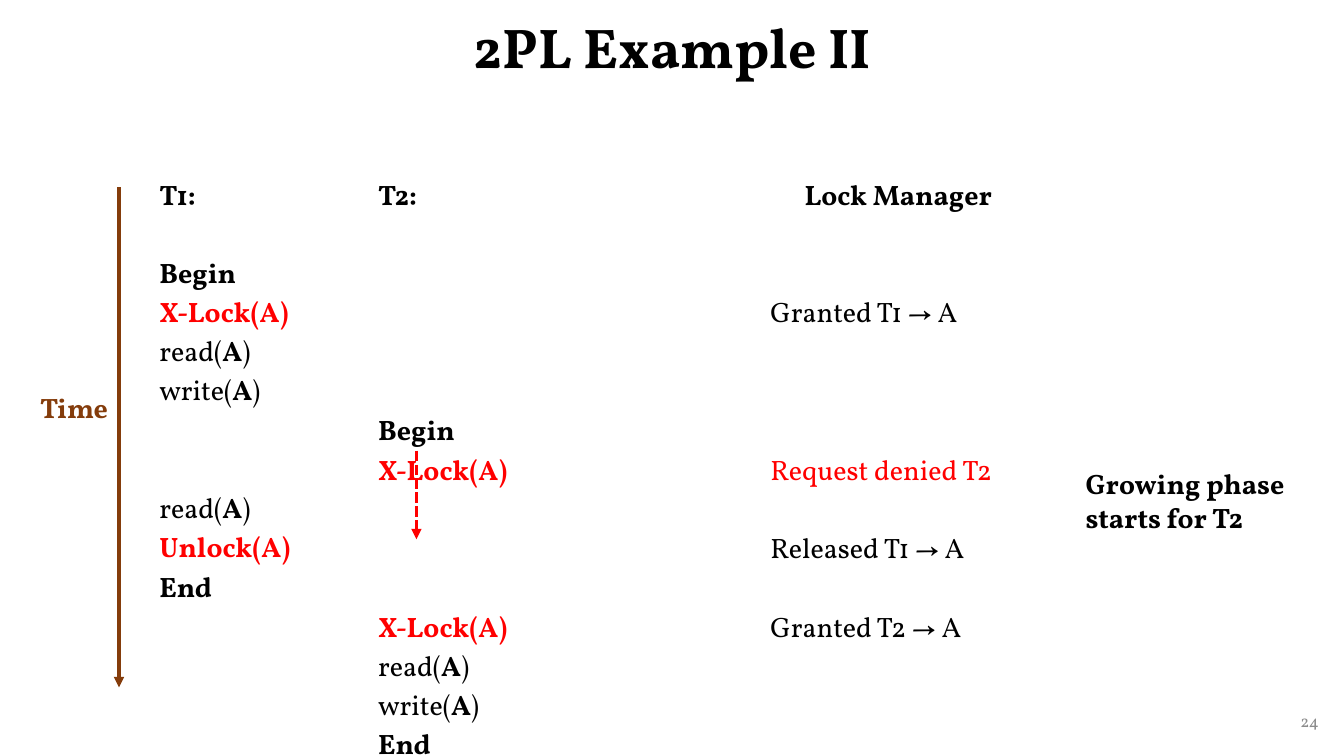
from dataclasses import dataclass

from lxml import etree
from pptx import Presentation
from pptx import util as u
from pptx.dml.color import RGBColor
from pptx.enum import dml, shapes, text
from pptx.oxml.ns import qn


@dataclass(frozen=True)
class Theme:
    font: str = "Vollkorn"
    ink: str = "000000"
    lock: str = "FF0000"
    time: str = "843C0B"
    muted: str = "8C8C8C"
    title: int = 40
    body: int = 20
    number: int = 12
    step: float = 28.1  # height of one schedule step, in points
    line: float = 2.5


theme = Theme()


def write(paragraph, words, color=theme.ink, bold=True, size=theme.body):
    """Write words in one style; in a plain call such as read(A), A is bold."""
    font = paragraph.font
    font.name, font.size, font.bold = theme.font, u.Pt(size), bold
    font.color.rgb = RGBColor.from_string(color)
    if words.endswith("(A)") and not bold:
        for part in (words[:-2], "A", ")"):
            run = paragraph.add_run()
            run.text = part
            if part == "A":
                run.font.bold = True
    else:
        paragraph.add_run().text = words


def arrow(x, top, bottom, color, dash=None):
    """Draw a downward arrow."""
    connector = slide.shapes.add_connector(
        shapes.MSO_CONNECTOR.STRAIGHT, u.Inches(x), u.Inches(top), u.Inches(x), u.Inches(bottom))
    connector.line.color.rgb = RGBColor.from_string(color)
    connector.line.width = u.Pt(theme.line)
    if dash:
        connector.line.dash_style = dash
    properties = connector._element.spPr
    etree.SubElement(properties.find(qn("a:ln")), qn("a:tailEnd"), type="triangle")
    etree.SubElement(properties, qn("a:effectLst"))


deck = Presentation()
deck.slide_width, deck.slide_height = u.Inches(13.33), u.Inches(7.5)
slide = deck.slides.add_slide(deck.slide_layouts[5])

# Title
title = slide.shapes.title
title.left, title.top, title.width, title.height = map(u.Inches, (0.92, 0, 11.5, 0.99))
title.text_frame.vertical_anchor = text.MSO_ANCHOR.MIDDLE
heading = title.text_frame.paragraphs[0]
heading.alignment = text.PP_ALIGN.CENTER
heading.line_spacing = 0.9
write(heading, "2PL Example II", size=theme.title)

# Schedule: each entry is (time step, words, colour, bold)
ink, lock = theme.ink, theme.lock
t1 = [
    (0, "T1:", ink, True), (2, "Begin", ink, True), (3, "X-Lock(A)", lock, True),
    (4, "read(A)", ink, False), (5, "write(A)", ink, False), (8, "read(A)", ink, False),
    (9, "Unlock(A)", lock, True), (10, "End", ink, True),
]
t2 = [
    (0, "T2:", ink, True), (6, "Begin", ink, True), (7, "X-Lock(A)", lock, True),
    (11, "X-Lock(A)", lock, True), (12, "read(A)", ink, False),
    (13, "write(A)", ink, False), (14, "End", ink, True),
]
lock_manager = [
    (0, "Lock Manager", ink, True), (3, "Granted T1 → A", ink, False),
    (7, "Request denied T2", lock, False), (9, "Released T1 → A", ink, False),
    (11, "Granted T2 → A", ink, False),
]

# Transactions and lock manager tables
for left, widths, columns in ((1.48, (2.17, 2.05), (t1, t2)), (7.54, (2.74,), (lock_manager,))):
    schedule = slide.shapes.add_table(
        1, len(columns), u.Inches(left), u.Inches(1.72), u.Inches(sum(widths)), u.Inches(3.36)).table
    schedule.first_row = schedule.horz_banding = False
    for index, (width, steps) in enumerate(zip(widths, columns)):
        schedule.columns[index].width = u.Inches(width)
        cell = schedule.cell(0, index)
        cell.fill.background()
        previous = 0
        for step, words, color, bold in steps:
            entry = cell.text_frame.add_paragraph() if step else cell.text_frame.paragraphs[0]
            if step - previous > 1:
                entry.space_before = u.Pt(theme.step * (step - previous - 1))
            if words == "Lock Manager":
                entry.alignment = text.PP_ALIGN.CENTER
            write(entry, words, color, bold)
            previous = step

# Time axis and the wait of T2
arrow(1.18, 1.86, 6.82, theme.time)
arrow(4.13, 4.47, 5.35, theme.lock, dml.MSO_LINE.SQUARE_DOT)

# Labels and slide number
left_align, right_align = text.PP_ALIGN.LEFT, text.PP_ALIGN.RIGHT
for place, words, color, bold, size, align in (
    ((0.3, 3.83, 0.89, 0.44), "Time", theme.time, True, theme.body, left_align),
    ((10.67, 4.58, 2.37, 0.77), "Growing phase starts for T2", ink, True, theme.body, left_align),
    ((10.18, 6.95, 3, 0.4), "24", theme.muted, False, theme.number, right_align),
):
    label = slide.shapes.add_textbox(*map(u.Inches, place)).text_frame
    label.word_wrap = True
    label.vertical_anchor = text.MSO_ANCHOR.MIDDLE if align == right_align else text.MSO_ANCHOR.TOP
    label.paragraphs[0].alignment = align
    write(label.paragraphs[0], words, color, bold, size)

deck.save("out.pptx")
